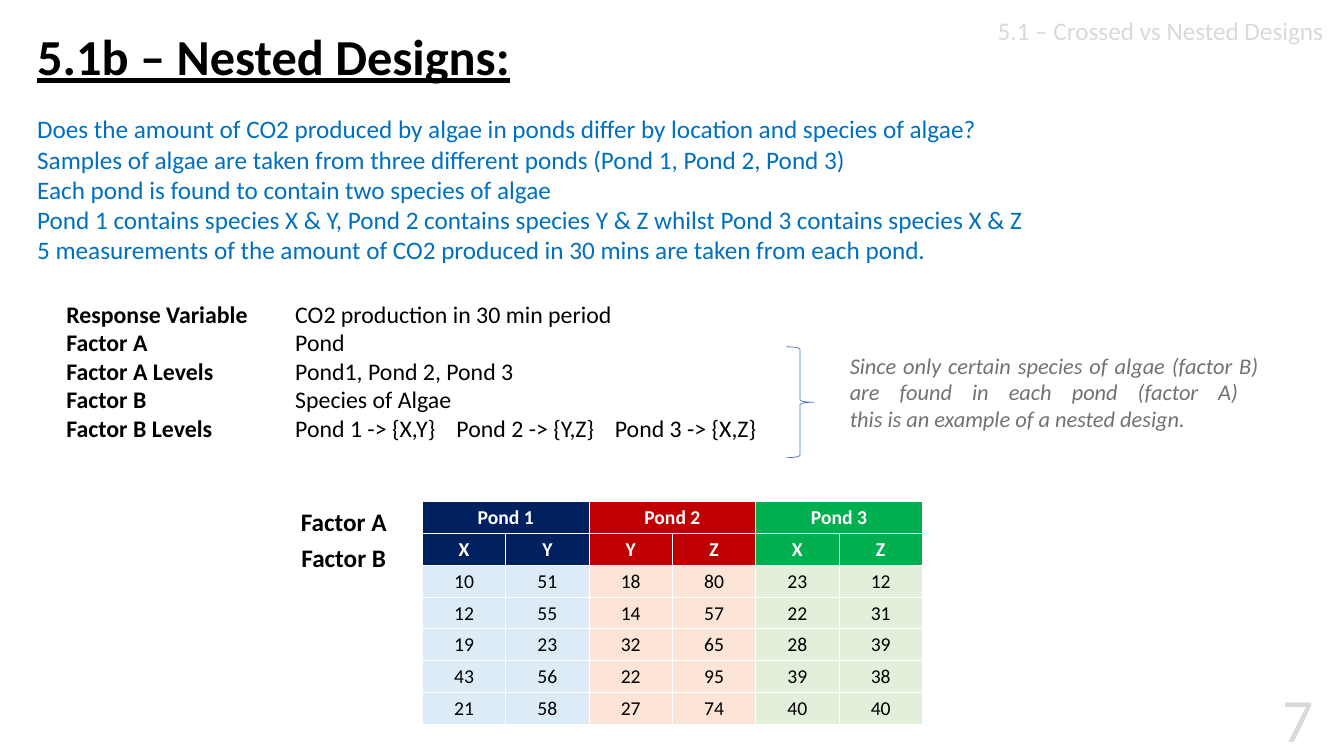
from dataclasses import dataclass

from lxml import etree
from pptx import Presentation
from pptx import util as u
from pptx.dml.color import RGBColor
from pptx.enum import shapes, text
from pptx.oxml import ns

WIDE, HIGH = 13.33, 7.5
FONT = "Calibri"
HUES = {
    "black": "000000", "white": "FFFFFF", "blue": "0070C0", "grey": "767171",
    "pale": "D9D9D9", "line": "4472C4", "navy": "002060", "red": "C00000",
    "green": "00B050", "sky": "DDEBF7", "peach": "FCE4D6", "mint": "E2EFDA",
}
ALIGN = text.PP_ALIGN
ANCHOR = text.MSO_ANCHOR


@dataclass
class Area:
    left: float
    top: float
    width: float
    height: float

    def place(self) -> tuple[int, int, int, int]:
        return (
            u.Inches(WIDE * self.left / 100), u.Inches(HIGH * self.top / 100),
            u.Inches(WIDE * self.width / 100), u.Inches(HIGH * self.height / 100),
        )


@dataclass
class Label:
    area: Area
    words: str
    size: float
    hue: str = "black"
    align: ALIGN = ALIGN.JUSTIFY
    anchor: ANCHOR = ANCHOR.TOP
    bold: bool = False
    slant: bool = False
    under: bool = False
    space: float = 1.0


@dataclass
class Pond:
    name: str
    dark: str
    light: str
    kinds: tuple[str, str]
    counts: list[tuple[int, int]]


STORY = "\n".join([
    "Does the amount of CO2 produced by algae in ponds differ by location and species of algae?",
    "Samples of algae are taken from three different ponds (Pond 1, Pond 2, Pond 3)",
    "Each pond is found to contain two species of algae",
    "Pond 1 contains species X & Y, Pond 2 contains species Y & Z whilst Pond 3 contains species X & Z",
    "5 measurements of the amount of CO2 produced in 30 mins are taken from each pond.",
])
NOTE = ("Since only certain species of algae (factor B) are found in each pond "
        "(factor A) \vthis is an example of a nested design.")
LABELS = [
    Label(Area(69, 1.3, 30.2, 5.4), "5.1 – Crossed vs Nested Designs", 18, "pale",
          ALIGN.RIGHT, ANCHOR.MIDDLE),
    Label(Area(90, 90, 8.5, 10), "7", 44, "pale", ALIGN.RIGHT, ANCHOR.MIDDLE),
    Label(Area(2.03, 3.47, 67, 8.8), "5.1b – Nested Designs:", 36, "black",
          ALIGN.LEFT, ANCHOR.MIDDLE, bold=True, under=True, space=0.9),
    Label(Area(2.03, 14.4, 89.72, 18.53), STORY, 18, "blue"),
    Label(Area(62.49, 45.87, 31.88, 14.67), NOTE, 16, "grey", slant=True),
] + [
    Label(Area(19.8, 66.27 + 4.8 * i, 11.55, 6.4), name, 18, align=ALIGN.CENTER, bold=True)
    for i, name in enumerate(["Factor A", "Factor B"])
]

FACTS = {
    "Response Variable": "CO2 production in 30 min period",
    "Factor A": "Pond",
    "Factor A Levels": "Pond1, Pond 2, Pond 3",
    "Factor B": "Species of Algae",
    "Factor B Levels": "Pond 1 -> {X,Y}\tPond 2 -> {Y,Z}\tPond 3 -> {X,Z}",
}
FACT_AREA = Area(4.2, 38.93, 55.3, 21.73)
TABS = (17.03, 29.03, 40.81)
BRACE = Area(58.51, 45.87, 2.03, 14.67)
GRID = Area(31.43, 66.27, 37.2, 29.6)
PONDS = [
    Pond("Pond 1", "navy", "sky", ("X", "Y"),
         [(10, 51), (12, 55), (19, 23), (43, 56), (21, 58)]),
    Pond("Pond 2", "red", "peach", ("Y", "Z"),
         [(18, 80), (14, 57), (32, 65), (22, 95), (27, 74)]),
    Pond("Pond 3", "green", "mint", ("X", "Z"),
         [(23, 12), (22, 31), (28, 39), (39, 38), (40, 40)]),
]


def tint(hue: str) -> RGBColor:
    return RGBColor.from_string(HUES[hue])


def style(run, size: float, hue: str, bold: bool = False) -> None:
    run.font.name = FONT
    run.font.size = u.Pt(size)
    run.font.bold = bold
    run.font.color.rgb = tint(hue)


def write(slide, label: Label) -> None:
    frame = slide.shapes.add_textbox(*label.area.place()).text_frame
    frame.word_wrap = True
    frame.vertical_anchor = label.anchor
    frame.text = label.words
    for para in frame.paragraphs:
        para.alignment = label.align
        para.line_spacing = label.space
        for run in para.runs:
            style(run, label.size, label.hue, label.bold)
            run.font.italic = label.slant
            run.font.underline = label.under


def list_facts(slide) -> None:
    frame = slide.shapes.add_textbox(*FACT_AREA.place()).text_frame
    frame.word_wrap = True
    frame.text = "\n".join(FACTS)
    for para, value in zip(frame.paragraphs, FACTS.values()):
        para.alignment = ALIGN.JUSTIFY
        stops = etree.SubElement(para._p.get_or_add_pPr(), ns.qn("a:tabLst"))
        for stop in TABS:
            place = u.Inches(WIDE * stop / 100)
            etree.SubElement(stops, ns.qn("a:tab"), pos=str(place), algn="l")
        style(para.runs[0], 17, "black", True)
        run = para.add_run()
        run.text = "\t" + value
        style(run, 17, "black")


def draw_brace(slide) -> None:
    brace = slide.shapes.add_shape(shapes.MSO_SHAPE.RIGHT_BRACE, *BRACE.place())
    brace.shadow.inherit = False
    brace.fill.background()
    brace.line.color.rgb = tint("line")
    brace.line.width = u.Pt(0.5)


def fill_cell(cell, words: str, back: str, hue: str, bold: bool) -> None:
    cell.fill.solid()
    cell.fill.fore_color.rgb = tint(back)
    cell.vertical_anchor = ANCHOR.MIDDLE
    cell.margin_left = cell.margin_right = cell.margin_top = u.Inches(0.01)
    cell.margin_bottom = 0
    props = cell._tc.get_or_add_tcPr()
    for i, side in enumerate(["lnL", "lnR", "lnT", "lnB"]):
        edge = etree.Element(ns.qn("a:" + side), w=str(u.Pt(0.5)))
        paint = etree.SubElement(edge, ns.qn("a:solidFill"))
        etree.SubElement(paint, ns.qn("a:srgbClr"), val=HUES["white"])
        props.insert(i, edge)
    para = cell.text_frame.paragraphs[0]
    para.text = words
    para.alignment = ALIGN.CENTER
    for run in para.runs:
        style(run, 14, hue, bold)


def draw_table(slide) -> None:
    rows, cols = 2 + len(PONDS[0].counts), 2 * len(PONDS)
    table = slide.shapes.add_table(rows, cols, *GRID.place()).table
    table.first_row = table.horz_banding = False
    for col in table.columns:
        col.width = u.Inches(WIDE * GRID.width / 100 / cols)
    for row in table.rows:
        row.height = u.Inches(HIGH * GRID.height / 100 / rows)
    for i, pond in enumerate(PONDS):
        for r, pair in enumerate([(pond.name, ""), pond.kinds, *pond.counts]):
            head = r < 2
            for c, value in enumerate(pair):
                fill_cell(table.cell(r, 2 * i + c), str(value),
                          pond.dark if head else pond.light,
                          "white" if head else "black", head)
        table.cell(0, 2 * i).merge(table.cell(0, 2 * i + 1))


def main() -> None:
    deck = Presentation()
    deck.slide_width, deck.slide_height = u.Inches(WIDE), u.Inches(HIGH)
    slide = deck.slides.add_slide(deck.slide_layouts[6])
    for label in LABELS:
        write(slide, label)
    list_facts(slide)
    draw_brace(slide)
    draw_table(slide)
    deck.save("out.pptx")


if __name__ == "__main__":
    main()
